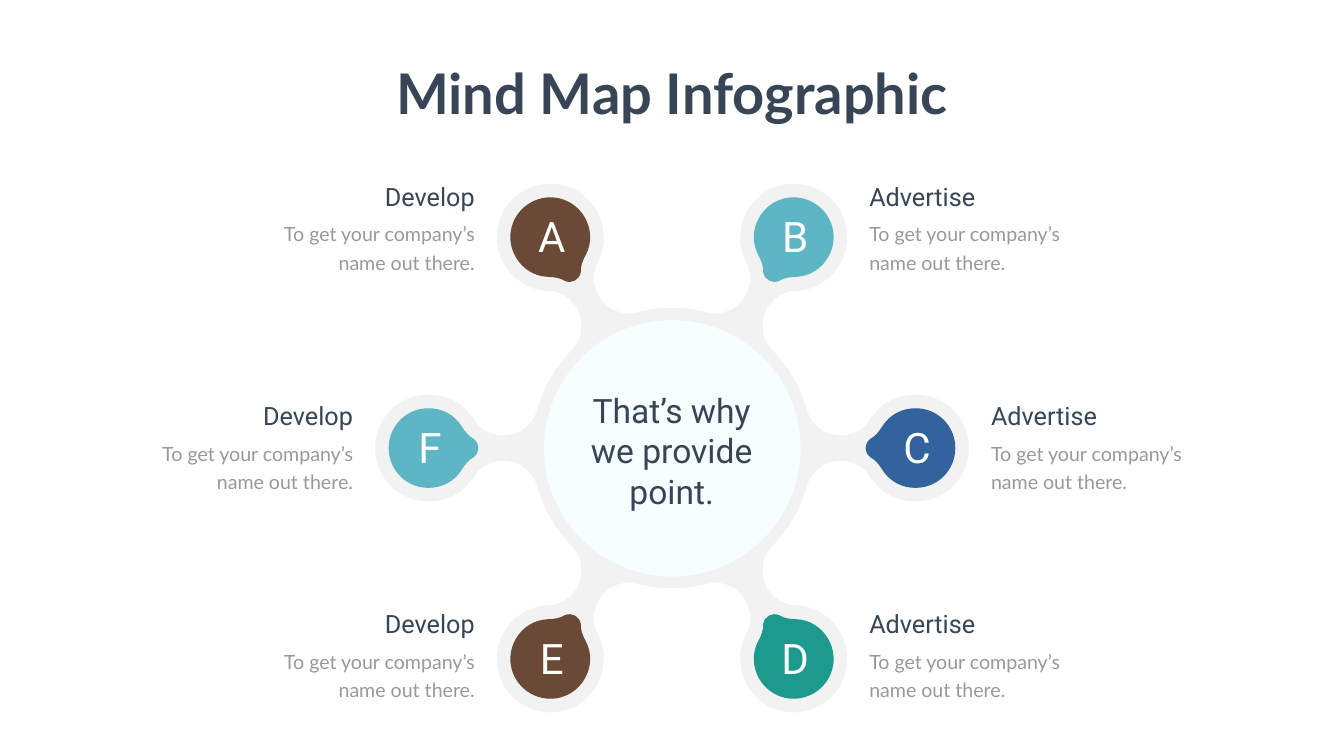
import math

import lxml.etree
import pptx
import pptx.dml.color
import pptx.enum.shapes
import pptx.enum.text
import pptx.oxml.ns
import pptx.util

Inches = pptx.util.Inches
Pt = pptx.util.Pt
hue = pptx.dml.color.RGBColor.from_string
qn = pptx.oxml.ns.qn
ALIGN = pptx.enum.text.PP_ALIGN

MID = complex(13.33, 8.89)
REACH = 4.83  # from the centre to each node

# Upper halves of outlines pointing right: a start, then Bezier triples
ARM = [(2.41, -1.39),
       (2.53, -1.18), (2.62, -0.97), (2.68, -0.74),
       (2.76, -0.45), (3.03, -0.25), (3.35, -0.25),
       (3.6, -0.25), (3.82, -0.37), (3.93, -0.57),
       (4.13, -0.88), (4.46, -1.06), (4.83, -1.06),
       (5.42, -1.06), (5.89, -0.59), (5.89, 0)]
DROP = [(3.84, 0),
        (3.84, -0.07), (3.87, -0.13), (3.93, -0.18),
        (4.03, -0.23), (4.11, -0.33), (4.17, -0.43),
        (4.32, -0.67), (4.57, -0.79), (4.83, -0.79),
        (5.27, -0.79), (5.62, -0.44), (5.62, 0)]

HEAD = {"size": Pt(36), "name": "Roboto", "color": "374556"}
BODY = {"size": Pt(28), "name": "Lato", "color": "999999"}
MARK = {"size": Pt(60), "name": "Roboto", "color": "FFFFFF"}
CORE = {"size": Pt(48), "name": "Roboto", "color": "374556"}
TITLE = {"size": Pt(80), "name": "Lato", "color": "374556", "bold": True}

# letter, angle, colour, top of the heading
NODES = [("A", 240, "6B4937", 3.55), ("B", 300, "5EB5C3", 3.55),
         ("C", 0, "33639C", 7.9), ("D", 60, "1C9A8E", 12.03),
         ("E", 120, "6B4937", 12.03), ("F", 180, "5EB5C3", 7.9)]

deck = pptx.Presentation()
deck.slide_width, deck.slide_height = Inches(26.66), Inches(15)
slide = deck.slides.add_slide(deck.slide_layouts[6])
slide.background.fill.solid()
slide.background.fill.fore_color.rgb = hue("FEFFFE")
shapes = slide.shapes


def draw(half, turns, color):
    """Mirror a half outline, repeat it at each turn (degrees), and fill it."""
    knots = [complex(*p) for p in half]
    knots += [p.conjugate() for p in reversed(knots[:-1])]
    dots = []
    for turn in turns:
        angle = math.radians(turn)
        spin = complex(math.cos(angle), math.sin(angle))
        spots = [MID + p * spin for p in knots]
        # Each repeat starts where the last one ended
        dots += [(Inches(p.real), Inches(p.imag)) for p in spots[len(dots) > 0:]]
    pen = shapes.build_freeform(*dots[0])
    pen.add_line_segments(dots[1:], close=True)
    shape = pen.convert_to_shape()

    # Turn every three line segments into one Bezier curve
    lines = list(shape._element.spPr.iter(qn("a:lnTo")))
    for i in range(0, len(lines) - 2, 3):
        curve = lxml.etree.Element(qn("a:cubicBezTo"))
        lines[i].addprevious(curve)
        for line in lines[i:i + 3]:
            curve.append(line[0])
            line.getparent().remove(line)

    shape.shadow.inherit = False
    shape.fill.solid()
    shape.fill.fore_color.rgb = hue(color)
    shape.line.fill.background()
    return shape


def write(text, box, look, align=ALIGN.CENTER, lead=None, wrap=True):
    frame = shapes.add_textbox(*[Inches(v) for v in box]).text_frame
    frame.word_wrap = wrap
    frame.auto_size = pptx.enum.text.MSO_AUTO_SIZE.SHAPE_TO_FIT_TEXT
    para = frame.paragraphs[0]
    para.alignment = align
    if lead:
        para.line_spacing = lead
    run = para.add_run()
    run.text = text
    for key, value in look.items():
        if key == "color":
            run.font.color.rgb = hue(value)
        else:
            setattr(run.font, key, value)


web = draw(ARM, range(0, 360, 60), "808080")
tint = next(web._element.spPr.iter(qn("a:srgbClr")))
lxml.etree.SubElement(tint, qn("a:alpha"), val="10000")

for mark, turn, color, top in NODES:
    draw(DROP, [turn], color)

disc = shapes.add_shape(pptx.enum.shapes.MSO_SHAPE.OVAL,
                        Inches(10.79), Inches(6.35), Inches(5.09), Inches(5.09))
disc.shadow.inherit = False
disc.fill.solid()
disc.fill.fore_color.rgb = hue("F7FEFF")
disc.line.fill.background()
write("That’s why we provide point.", (11.26, 7.69, 4.13, 2.52), CORE)

for mark, turn, color, top in NODES:
    x = MID.real + REACH * math.cos(math.radians(turn))
    y = MID.imag + REACH * math.sin(math.radians(turn))
    write(mark, (x - 1, y - 0.57, 2.06, 1.11), MARK)
    right = x > MID.real
    name = "Advertise" if right else "Develop"
    align = ALIGN.LEFT if right else ALIGN.RIGHT
    for text, drop, wide, high, look, lead in [
            (name, 0, 3.98, 0.71, HEAD, None),
            ("To get your company’s name out there.", 0.71, 4.33, 1.19, BODY, Pt(40.8))]:
        left = x + 1.4 if right else x - 1.4 - wide
        write(text, (left, top + drop, wide, high), look, align, lead)

write("Mind Map Infographic", (7.69, 1.12, 11.28, 1.45), TITLE, wrap=False)

deck.save("out.pptx")
